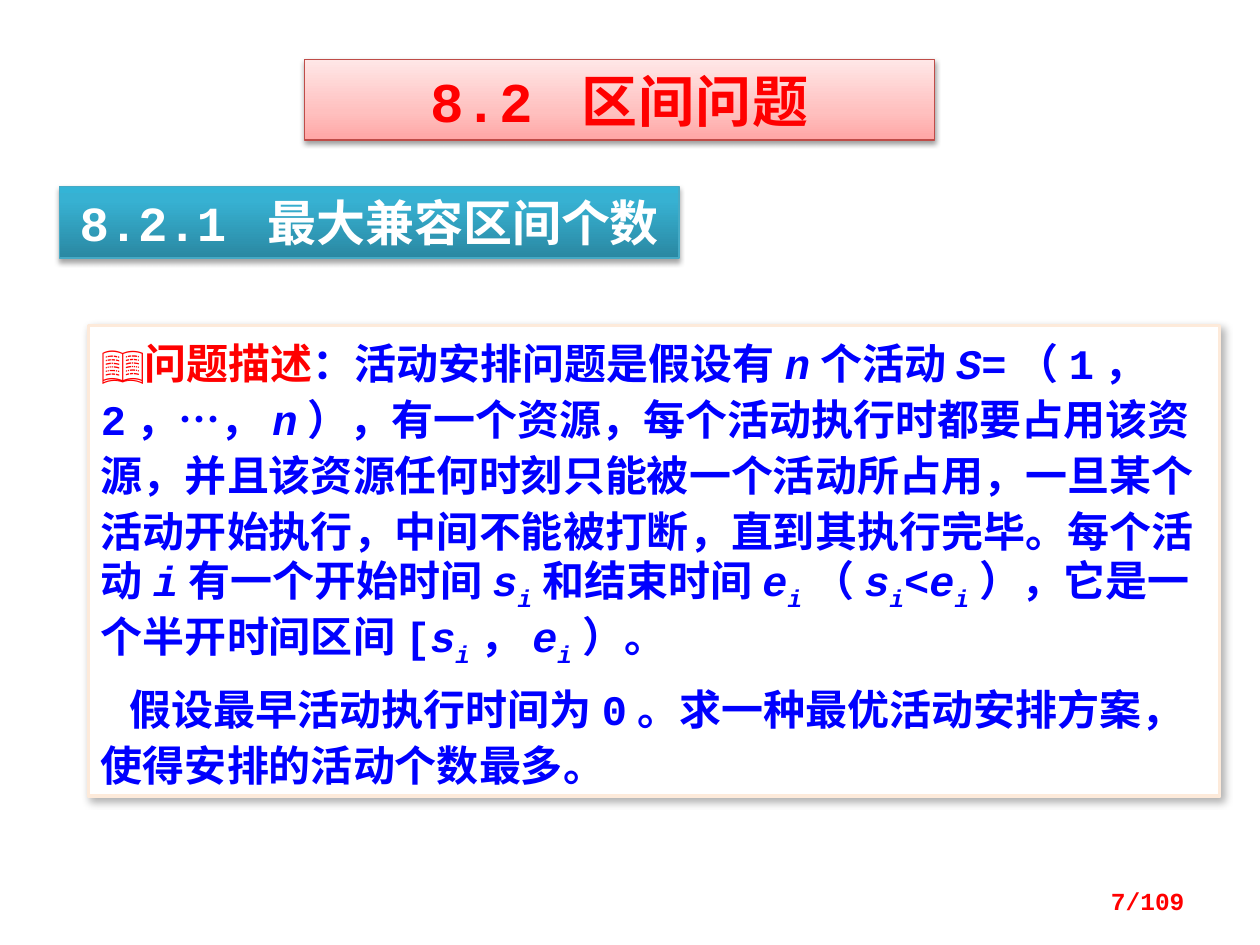
from copy import deepcopy

from lxml.etree import SubElement
from pptx import Presentation
from pptx.dml.color import RGBColor
from pptx.enum.shapes import MSO_SHAPE
from pptx.enum.text import MSO_ANCHOR, MSO_AUTO_SIZE, PP_ALIGN
from pptx.oxml.ns import qn
from pptx.util import Pt

RED = RGBColor(0xFF, 0x00, 0x00)
BLUE = RGBColor(0x00, 0x00, 0xFF)
WHITE = RGBColor(0xFF, 0xFF, 0xFF)
PEACH = RGBColor(0xFD, 0xEA, 0xDA)
ROSE_LINE = RGBColor(0xBF, 0x4C, 0x48)
TEAL_LINE = RGBColor(0x46, 0xAA, 0xC5)
ROSE = [(0, RGBColor(0xFF, 0xA6, 0xA5)), (0.35, RGBColor(0xFF, 0xC0, 0xBF)),
        (1, RGBColor(0xFF, 0xE7, 0xE7))]
TEAL = [(0, RGBColor(0x2A, 0x88, 0xA2)), (0.8, RGBColor(0x37, 0xB1, 0xD2)),
        (1, RGBColor(0x34, 0xB4, 0xD6))]

MONO = "Courier New"
PLAIN = dict(name=MONO, size=Pt(24), bold=True, italic=False)
ITALIC = {**PLAIN, "italic": True}
SUB = {**ITALIC, "baseline": -25000}


def place(sp, box):
    sp.left, sp.top, sp.width, sp.height = (Pt(v) for v in box)


def add_run(p, text, color, fmt):
    r = p.add_run()
    r.text = text
    r.font.color.rgb = color
    for key, value in fmt.items():
        if key in ("baseline", "spc"):
            r.font._element.set(key, str(value))
        else:
            setattr(r.font, key, value)


def set_line(sp, color, width):
    sp.line.color.rgb = color
    sp.line.width = Pt(width)


def add_shadow(sp, alpha, blur, dist, angle):
    effects = SubElement(sp._element.spPr, qn("a:effectLst"))
    shadow = SubElement(effects, qn("a:outerShdw"), blurRad=str(Pt(blur)),
                        dist=str(Pt(dist)), dir=str(angle * 60000),
                        rotWithShape="0")
    color = SubElement(shadow, qn("a:srgbClr"), val="000000")
    SubElement(color, qn("a:alpha"), val=str(alpha * 1000))


def set_gradient(sp, stops):
    sp.fill.gradient()
    sp.fill.gradient_angle = 90
    # The default gradient has two stops; add the middle one
    gs_lst = sp._element.spPr.find(qn("a:gradFill")).find(qn("a:gsLst"))
    gs_lst.insert(1, deepcopy(gs_lst[0]))
    for stop, (position, color) in zip(sp.fill.gradient_stops, stops):
        stop.position = position
        stop.color.rgb = color


def draw_banner(sp, box, text, stops, line, shadow, color, fmt):
    place(sp, box)
    set_gradient(sp, stops)
    set_line(sp, line, 0.75)
    add_shadow(sp, *shadow)
    tf = sp.text_frame
    tf.auto_size = MSO_AUTO_SIZE.NONE
    tf.word_wrap = True
    tf.vertical_anchor = MSO_ANCHOR.MIDDLE
    p = tf.paragraphs[0]
    p.alignment = PP_ALIGN.CENTER
    add_run(p, text, color, {**PLAIN, **fmt})


def indexed(name):
    return [(name, ITALIC), ("i", SUB)]


def draw_description(sp, box):
    place(sp, box)
    sp.fill.solid()
    sp.fill.fore_color.rgb = WHITE
    set_line(sp, PEACH, 2)
    add_shadow(sp, 30, 4.5, 2.6, 53)
    tf = sp.text_frame
    tf.auto_size = MSO_AUTO_SIZE.NONE
    tf.vertical_anchor = MSO_ANCHOR.TOP

    problem = [
        ("：活动安排问题是假设有", PLAIN), ("n", ITALIC), ("个活动", PLAIN),
        ("S", ITALIC), ("=（1，2，", PLAIN), ("…", {**PLAIN, "name": "Arial"}),
        ("，", PLAIN), ("n", ITALIC),
        ("），有一个资源，每个活动执行时都要占用该资源，并且该资源任何时刻只能被一个"
         "活动所占用，一旦某个活动开始执行，中间不能被打断，直到其执行完毕。每个活动",
         PLAIN),
        ("i", ITALIC), ("有一个开始时间", PLAIN), *indexed("s"),
        ("和结束时间", PLAIN), *indexed("e"), ("（", PLAIN), *indexed("s"),
        ("<", PLAIN), *indexed("e"), ("），它是一个半开时间区间[", PLAIN),
        *indexed("s"), ("，", PLAIN), *indexed("e"), ("）。", PLAIN),
    ]
    goal = [("假设最早活动执行时间为0。求一种最优活动安排方案，使得安排的活动个数最多。",
             PLAIN)]

    for p, indent, before in ((tf.paragraphs[0], 0, 0),
                              (tf.add_paragraph(), 16.5, 6)):
        pPr = p._p.get_or_add_pPr()
        pPr.set("marL", "0")
        pPr.set("indent", str(Pt(indent)))
        SubElement(pPr, qn("a:buNone"))
        p.line_spacing = Pt(32)
        p.space_before = Pt(before)

    first, second = tf.paragraphs
    add_run(first, "📖问题描述", RED, {**PLAIN, "name": "Noto Sans CJK SC"})
    for p, runs in ((first, problem), (second, goal)):
        for text, fmt in runs:
            add_run(p, text, BLUE, fmt)


def draw_page_number(s, box):
    tf = s.shapes.add_textbox(*(Pt(v) for v in box)).text_frame
    tf.word_wrap = True
    tf.vertical_anchor = MSO_ANCHOR.MIDDLE
    p = tf.paragraphs[0]
    p.alignment = PP_ALIGN.RIGHT
    add_run(p, "7/109", RED, {**PLAIN, "size": Pt(14)})


def main():
    prs = Presentation()
    prs.slide_width, prs.slide_height = Pt(720), Pt(540)
    s = prs.slides.add_slide(prs.slide_layouts[1])

    # Chapter title and section heading
    draw_banner(s.shapes.title, (174, 34, 360, 46), "8.2 区间问题", ROSE,
                ROSE_LINE, (38, 3.1, 1.6, 90), RED,
                {"size": Pt(32), "spc": 50})
    heading = s.shapes.add_shape(MSO_SHAPE.RECTANGLE, 0, 0, 0, 0)
    draw_banner(heading, (34, 106.5, 354, 41), "8.2.1 最大兼容区间个数", TEAL,
                TEAL_LINE, (35, 3.1, 1.8, 90), WHITE, {"size": Pt(28)})

    # Problem description
    draw_description(s.placeholders[1], (50.5, 186, 646.5, 269))

    # Page number
    draw_page_number(s, (516, 500.5, 168, 28.5))
    prs.save("out.pptx")


if __name__ == "__main__":
    main()
